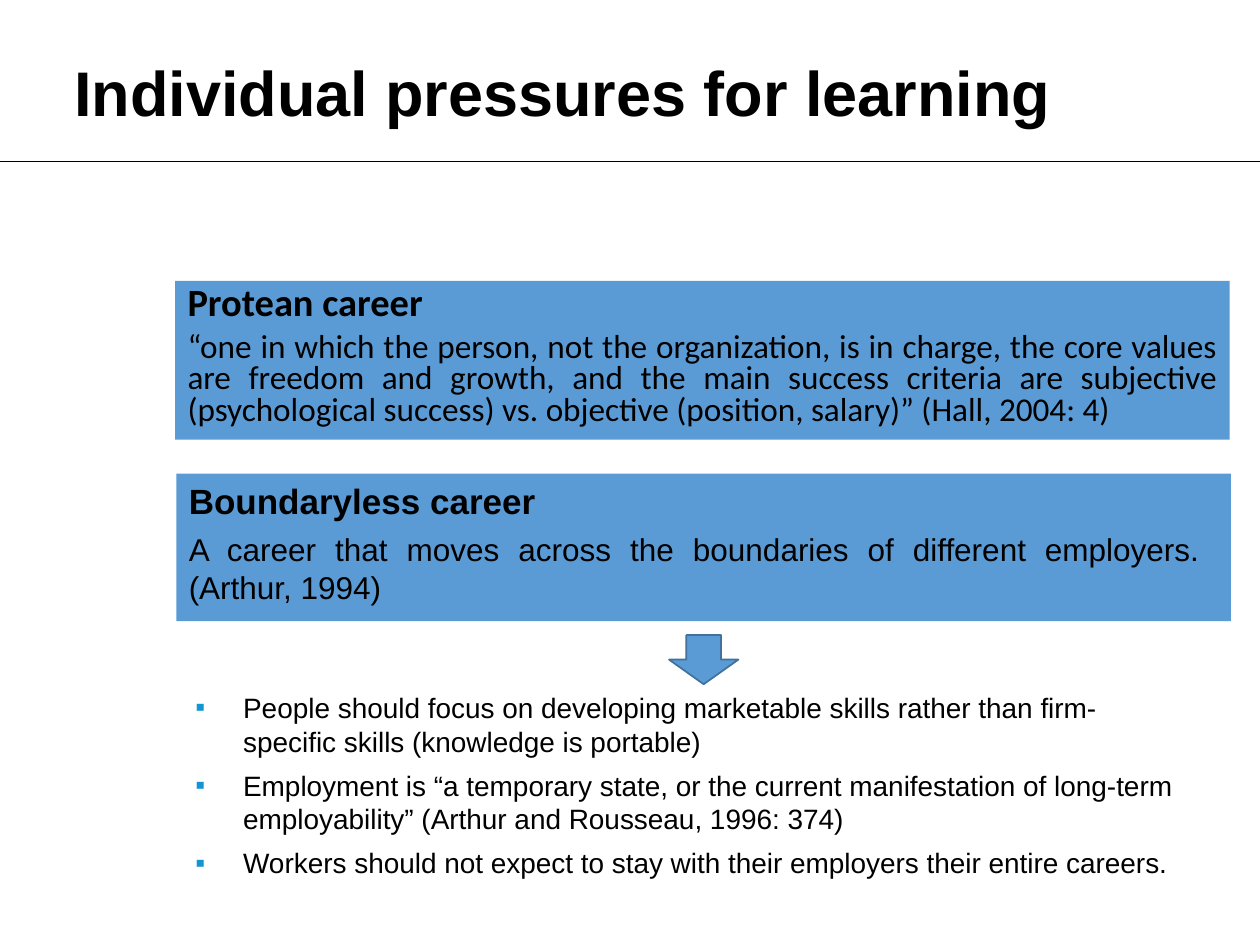
from lxml import etree
from pptx import Presentation
from pptx.dml.color import RGBColor
from pptx.enum.shapes import MSO_CONNECTOR, MSO_SHAPE
from pptx.enum.text import MSO_ANCHOR, MSO_AUTO_SIZE, PP_ALIGN
from pptx.oxml.ns import qn
from pptx.util import Inches, Pt

LEFT, JUSTIFY = PP_ALIGN.LEFT, PP_ALIGN.JUSTIFY
TOP, MIDDLE = MSO_ANCHOR.TOP, MSO_ANCHOR.MIDDLE
COLORS = {"text": "000000", "box": "5B9BD5", "arrow_edge": "41719C", "bullet": "1195D3"}
RGB = {part: RGBColor.from_string(value) for part, value in COLORS.items()}


def place(shape, left, top, width, height):
    shape.left, shape.top = Inches(left), Inches(top)
    shape.width, shape.height = Inches(width), Inches(height)


def write(frame, paragraphs, anchor=TOP):
    """Fill a frame with (text, size, bold, font, alignment, space before, line spacing) rows."""
    frame.text = "\n".join(row[0] for row in paragraphs)
    frame.word_wrap = True
    frame.auto_size = MSO_AUTO_SIZE.NONE
    frame.vertical_anchor = anchor
    for paragraph, row in zip(frame.paragraphs, paragraphs):
        _, size, bold, font, alignment, before, spacing = row
        paragraph.alignment = alignment
        paragraph.line_spacing = spacing
        paragraph.space_before = Pt(before)
        for run in paragraph.runs:
            run.font.size, run.font.bold, run.font.name = Pt(size), bold, font
            run.font.color.rgb = RGB["text"]


prs = Presentation()
prs.slide_width, prs.slide_height = Inches(10), Inches(7.5)
slide = prs.slides.add_slide(prs.slide_layouts[1])

# Heading and rule
title = slide.shapes.title
place(title, 0.49, 0.22, 8.6, 1.01)
write(title.text_frame,
      [("Individual pressures for learning", 36, True, "Arial", LEFT, 6, 1.0)], MIDDLE)

rule = slide.shapes.add_connector(
    MSO_CONNECTOR.STRAIGHT, 0, Inches(1.28), prs.slide_width, Inches(1.28))
rule.line.color.rgb = RGB["text"]
rule.line.width = Pt(0.5)
etree.SubElement(rule.line._get_or_add_ln().getparent(), qn("a:effectLst"))

# Consequences for workers
consequences = [
    "People should focus on developing marketable skills rather than firm-specific skills "
    "(knowledge is portable)",
    "Employment is “a temporary state, or the current manifestation of long-term "
    "employability” (Arthur and Rousseau, 1996: 374)",
    "Workers should not expect to stay with their employers their entire careers.",
]
body = slide.placeholders[1]
place(body, 1.45, 5.43, 7.99, 1.78)
write(body.text_frame,
      [(text, 16, False, "Arial", LEFT, 6, 1.0) for text in consequences])
for paragraph in body.text_frame.paragraphs:
    properties = paragraph._p.get_or_add_pPr()
    properties.set("marL", str(Inches(0.38)))
    properties.set("indent", str(-Inches(0.38)))
    bullet_color = etree.SubElement(properties, qn("a:buClr"))
    etree.SubElement(bullet_color, qn("a:srgbClr"), val=COLORS["bullet"])
    etree.SubElement(properties, qn("a:buFont"), typeface="Arial")
    etree.SubElement(properties, qn("a:buChar"), char="▪")

# Career definitions
careers = [
    ((1.39, 2.23, 8.37, 1.26), [
        ("Protean career", 22, True, "Calibri", JUSTIFY, 5.5, 0.8),
        ("“one in which the person, not the organization, is in charge, the core values are "
         "freedom and growth, and the main success criteria are subjective (psychological "
         "success) vs. objective (position, salary)” (Hall, 2004: 4)",
         19, False, "Calibri", JUSTIFY, 4.8, 0.8),
    ]),
    ((1.4, 3.76, 8.37, 1.17), [
        ("Boundaryless career", 20, True, "Arial", LEFT, 5, 1.0),
        ("A career that moves across the boundaries of different employers.  (Arthur, 1994)",
         18, False, "Arial", JUSTIFY, 4.5, 1.0),
    ]),
]
for position, definition in careers:
    box = slide.shapes.add_shape(MSO_SHAPE.RECTANGLE, *map(Inches, position))
    box.shadow.inherit = False
    box.fill.solid()
    box.fill.fore_color.rgb = RGB["box"]
    box.line.fill.background()
    write(box.text_frame, definition)

arrow = slide.shapes.add_shape(
    MSO_SHAPE.DOWN_ARROW, *map(Inches, (5.31, 5.04, 0.55, 0.39)))
arrow.shadow.inherit = False
arrow.fill.solid()
arrow.fill.fore_color.rgb = RGB["box"]
arrow.line.color.rgb = RGB["arrow_edge"]
arrow.line.width = Pt(1)

prs.save("out.pptx")
